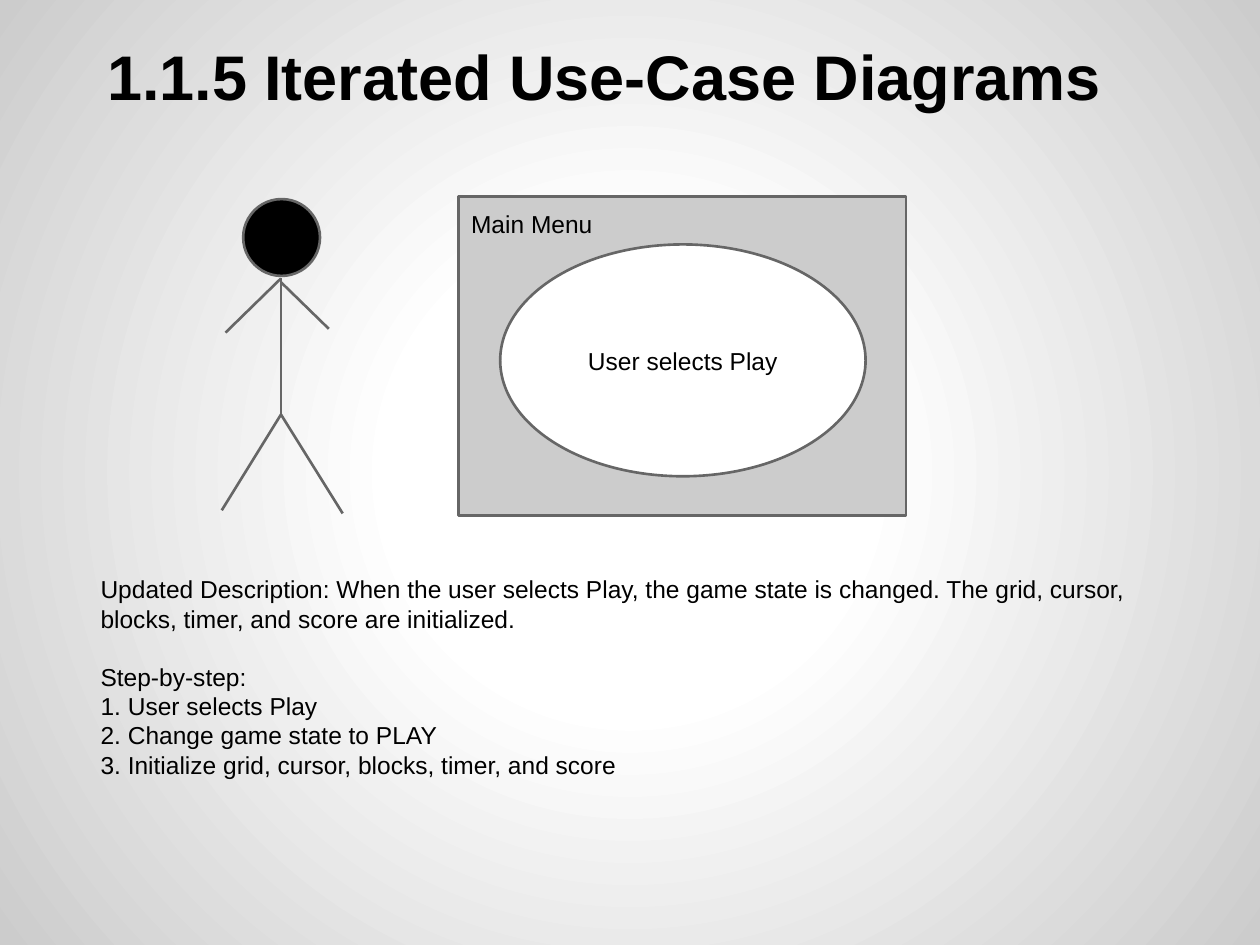
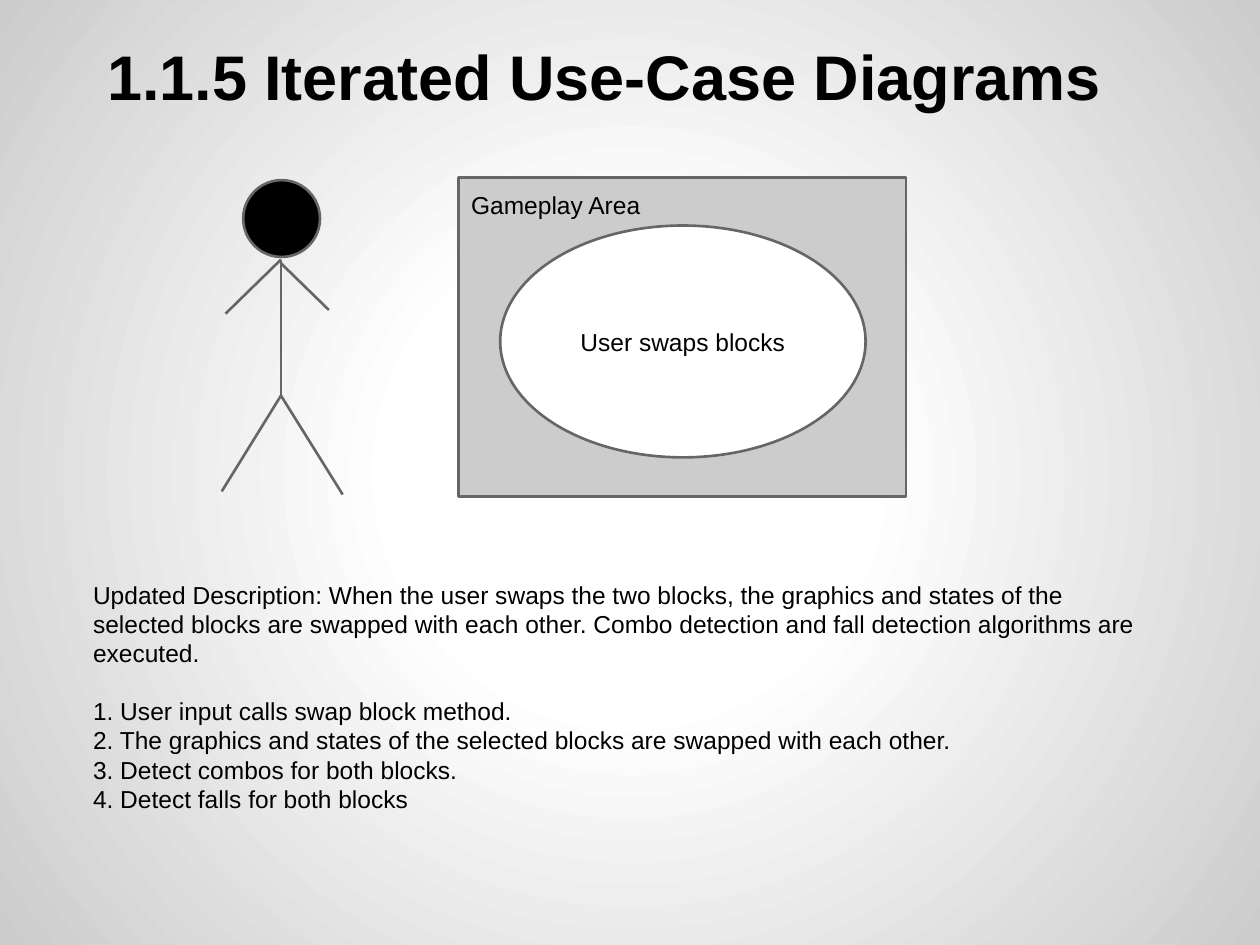
import pptx
import pptx.util
import pptx.oxml
import pptx.oxml.ns
import pptx.dml.color
import pptx.enum.shapes
import pptx.enum.text

Pt = pptx.util.Pt
Shape = pptx.enum.shapes.MSO_SHAPE
Line = pptx.enum.shapes.MSO_CONNECTOR
Align = pptx.enum.text.PP_ALIGN
Anchor = pptx.enum.text.MSO_ANCHOR
Color = pptx.dml.color.RGBColor
qn = pptx.oxml.ns.qn

BLACK = Color(0x00, 0x00, 0x00)
WHITE = Color(0xFF, 0xFF, 0xFF)
SILVER = Color(0xCC, 0xCC, 0xCC)
GRAY = Color(0x66, 0x66, 0x66)

COLS, ROWS = 100, 75
FONT = "Arial"
HEAD = 36
BODY = 14
STROKE = 1.5
GAP = 16.1
INSET = 0.1
TITLE = "1.1.5 Iterated Use-Case Diagrams"
STOPS = ((0, WHITE), (30, WHITE), (100, SILVER))

NECK = (22.3, 6.5)
HIP = (22.3, 17.3)
LIMBS = (
    (NECK, HIP),
    ((17.9, 10.8), NECK),
    ((26.1, 10.5), (22.3, 6.8)),
    ((17.6, 24.9), HIP),
    ((27.2, 25.15), HIP),
)

CASES = (
    dict(
        top=15.6,
        area="Main Menu",
        action="User selects Play",
        box=(7, 44.6, 86, 26),
        about="Updated Description: When the user selects Play, the game state is changed. "
              "The grid, cursor, blocks, timer, and score are initialized.",
        steps=("Step-by-step:",
               "1. User selects Play",
               "2. Change game state to PLAY",
               "3. Initialize grid, cursor, blocks, timer, and score"),
    ),
    dict(
        top=14.1,
        area="Gameplay Area",
        action="User swaps blocks",
        box=(6.4, 45, 86, 25.2),
        about="Updated Description: When the user swaps the two blocks, the graphics and "
              "states of the selected blocks are swapped with each other. Combo detection "
              "and fall detection algorithms are executed.",
        steps=("1. User input calls swap block method.",
               "2. The graphics and states of the selected blocks are swapped with each other.",
               "3. Detect combos for both blocks.",
               "4. Detect falls for both blocks"),
    ),
)


class Deck:
    def __init__(self):
        self.show = pptx.Presentation()
        self.show.slide_width = pptx.util.Inches(10)
        self.show.slide_height = pptx.util.Inches(7.5)
        self.cell = self.show.slide_width / COLS, self.show.slide_height / ROWS
        self.slide = None
        self.glow()

    def glow(self):
        stops = "".join(
            f'<a:gs pos="{at * 1000}"><a:srgbClr val="{tone}"/></a:gs>' for at, tone in STOPS)
        back = pptx.oxml.parse_xml(
            f'<p:bg {pptx.oxml.ns.nsdecls("p", "a")}><p:bgPr><a:gradFill>'
            f'<a:gsLst>{stops}</a:gsLst><a:path path="circle">'
            '<a:fillToRect l="50000" t="50000" r="50000" b="50000"/></a:path>'
            '</a:gradFill><a:effectLst/></p:bgPr></p:bg>')
        root = self.show.slide_master.element.find(qn("p:cSld"))
        for old in root.findall(qn("p:bg")):
            root.remove(old)
        root.insert(0, back)

    def grid(self, *spans):
        return [round(span * self.cell[i % 2]) for i, span in enumerate(spans)]

    def page(self, title):
        self.slide = self.show.slides.add_slide(self.show.slide_layouts[5])
        head = self.slide.shapes.title
        head.left, head.top, head.width, head.height = self.grid(5, 3, 90, 12.5)
        self.label(head.text_frame, [title], size=HEAD, bold=True)
        head.text_frame.margin_left = pptx.util.Inches(0.35)
        head.text_frame.margin_top = 0

    def label(self, frame, lines, size=BODY, bold=False, align=Align.LEFT, anchor=Anchor.TOP):
        frame.word_wrap = True
        frame.auto_size = pptx.enum.text.MSO_AUTO_SIZE.NONE
        frame.vertical_anchor = anchor
        frame.margin_left = frame.margin_right = pptx.util.Inches(INSET)
        frame.margin_top = frame.margin_bottom = pptx.util.Inches(INSET)
        frame.text = "\n".join(lines)
        for para in frame.paragraphs:
            para.alignment = align
            para.font.name = FONT
            para.font.size = Pt(size)
            para.font.bold = bold
            para.font.color.rgb = BLACK

    def shape(self, host, kind, spot, fill):
        item = host.shapes.add_shape(kind, *self.grid(*spot))
        item.shadow.inherit = False
        item.fill.solid()
        item.fill.fore_color.rgb = fill
        item.line.color.rgb = GRAY
        item.line.width = Pt(STROKE)
        return item

    def limb(self, host, start, end):
        item = host.shapes.add_connector(Line.STRAIGHT, *self.grid(*start, *end))
        item.line.color.rgb = GRAY
        item.line.width = Pt(STROKE)
        item.element.spPr.append(pptx.oxml.parse_xml(
            f'<a:effectLst {pptx.oxml.ns.nsdecls("a")}/>'))

    def actor(self, top):
        host = self.slide.shapes.add_group_shape()
        for (x, y), (u, v) in LIMBS:
            self.limb(host, (x, top + y), (u, top + v))
        self.shape(host, Shape.FLOWCHART_CONNECTOR, (19.3, top + 0.2, 6.1, 6.1), BLACK)

    def system(self, top, area, action):
        host = self.slide.shapes.add_group_shape()
        frame = self.shape(host, Shape.RECTANGLE, (36.4, top, 35.5, 25.3), SILVER)
        self.label(frame.text_frame, [area])
        oval = self.shape(host, Shape.OVAL, (39.7, top + 3.8, 29, 18.4), WHITE)
        self.label(oval.text_frame, [action], align=Align.CENTER, anchor=Anchor.MIDDLE)

    def notes(self, box, about, steps):
        frame = self.slide.shapes.add_textbox(*self.grid(*box)).text_frame
        self.label(frame, [about, *steps])
        frame.paragraphs[1].space_before = Pt(GAP)


def main():
    deck = Deck()
    for case in CASES:
        deck.page(TITLE)
        deck.actor(case["top"])
        deck.system(case["top"], case["area"], case["action"])
        deck.notes(case["box"], case["about"], case["steps"])
    deck.show.save("out.pptx")


if __name__ == "__main__":
    main()
